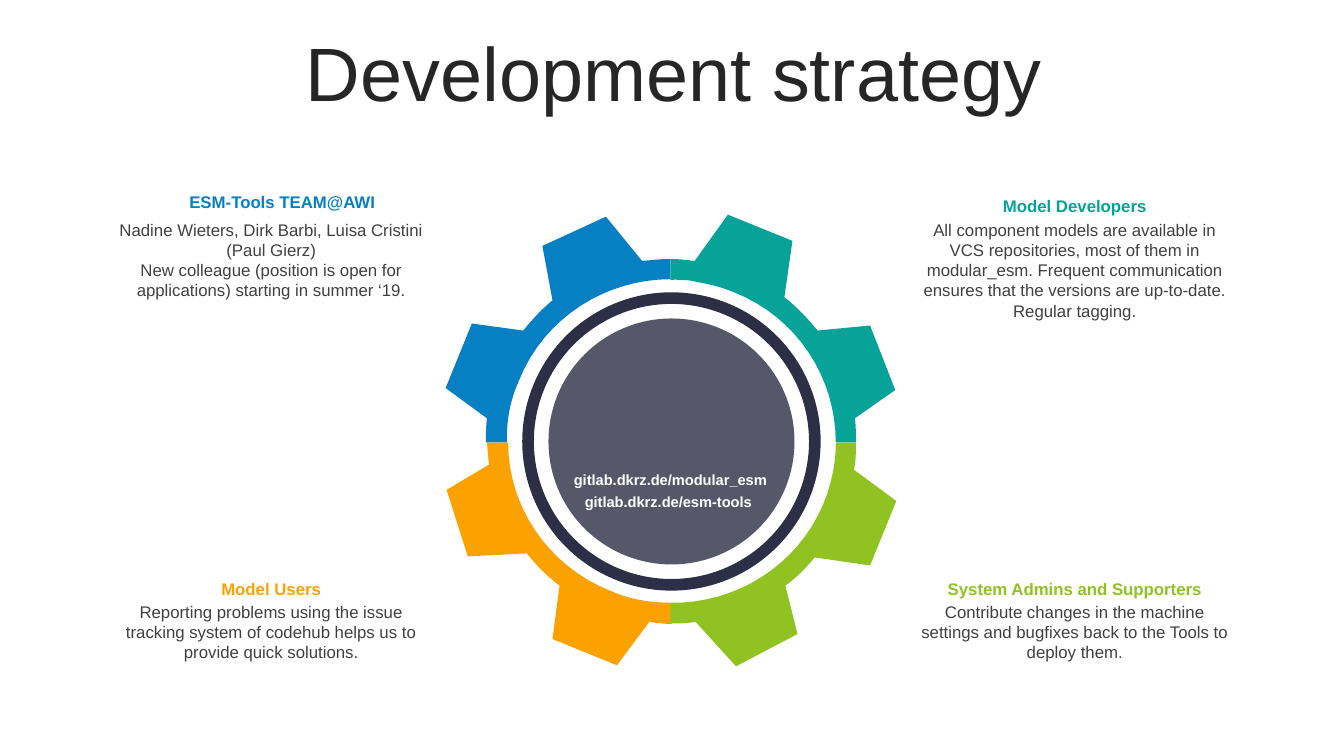
from lxml.etree import SubElement
from pptx import Presentation
from pptx.dml.color import RGBColor
from pptx.enum.shapes import MSO_SHAPE
from pptx.enum.text import MSO_ANCHOR, MSO_AUTO_SIZE, PP_ALIGN
from pptx.oxml.ns import qn
from pptx.util import Inches, Pt

BLUE = RGBColor(0x06, 0x80, 0xC3)
TEAL = RGBColor(0x07, 0xA3, 0x98)
ORANGE = RGBColor(0xFB, 0xA2, 0x00)
GREEN = RGBColor(0x90, 0xC2, 0x21)
NAVY = RGBColor(0x2C, 0x2F, 0x45)
INK = RGBColor(0x26, 0x26, 0x26)
GREY = RGBColor(0x40, 0x40, 0x40)
WHITE = RGBColor(0xFF, 0xFF, 0xFF)

TITLE = "Development strategy"
LEFT_X, RIGHT_X, TEXT_W = 1, 8.97, 3.38
HEADING_H = 0.3

# heading, colour, heading position, body position, body height, body paragraphs
ROLES = [
    ("ESM-Tools TEAM@AWI", BLUE, (1.11, 1.85), (LEFT_X, 2.13), 0.91,
     ["Nadine Wieters, Dirk Barbi, Luisa Cristini", "(Paul Gierz)",
      "New colleague (position is open for applications) starting in summer ‘19."]),
    ("Model Developers", TEAL, (RIGHT_X, 1.89), (RIGHT_X, 2.13), 1.11,
     ["All component models are available in VCS repositories, most of them in "
      "modular_esm. Frequent communication ensures that the versions are "
      "up-to-date. Regular tagging."]),
    ("Model Users", ORANGE, (LEFT_X, 5.69), (LEFT_X, 5.92), 0.71,
     ["Reporting problems using the issue tracking system of codehub helps us to "
      "provide quick solutions."]),
    ("System Admins and Supporters", GREEN, (RIGHT_X, 5.69), (RIGHT_X, 5.92), 0.71,
     ["Contribute changes in the machine settings and bugfixes back to the Tools "
      "to deploy them."]),
]

REPOSITORIES = [
    ("gitlab.dkrz.de/modular_esm", (5.44, 4.62), 2.42),
    ("gitlab.dkrz.de/esm-tools", (5.5, 4.84), 2.26),
]

# Gear quarters: two numbers are a corner, six are a Bézier curve.
GEAR = [
    (ORANGE, [
        (4.83, 4.39), (5.04, 4.39), (5.04, 5.02, 5.43, 5.61, 6.05, 5.86),
        (6.25, 5.95, 6.46, 5.98, 6.67, 5.98), (6.67, 6.19),
        (6.59, 6.19, 6.52, 6.18, 6.44, 6.17), (6.12, 6.6), (5.48, 6.34),
        (5.55, 5.81), (5.42, 5.71, 5.31, 5.6, 5.21, 5.47), (5.22, 5.49),
        (4.64, 5.52), (4.43, 4.86), (4.85, 4.61)]),
    (GREEN, [
        (8.29, 4.39), (8.49, 4.39), (8.49, 4.48, 8.49, 4.57, 8.47, 4.66),
        (8.89, 4.97), (8.63, 5.61), (8.08, 5.53),
        (8, 5.63, 7.9, 5.73, 7.79, 5.81), (7.91, 6.29), (7.3, 6.61), (6.9, 6.17),
        (6.82, 6.18, 6.73, 6.19, 6.65, 6.18), (6.65, 5.98),
        (7.29, 5.99, 7.91, 5.62, 8.17, 4.99),
        (8.25, 4.79, 8.29, 4.59, 8.29, 4.39)]),
    (BLUE, [
        (6.01, 2.15), (6.37, 2.59), (6.46, 2.58, 6.56, 2.57, 6.65, 2.57),
        (6.65, 2.77), (6.01, 2.77, 5.4, 3.15, 5.15, 3.77),
        (5.06, 3.97, 5.02, 4.18, 5.03, 4.39), (4.82, 4.39),
        (4.82, 4.31, 4.82, 4.23, 4.83, 4.15), (4.42, 3.85), (4.68, 3.21),
        (5.19, 3.28), (5.28, 3.17, 5.37, 3.07, 5.48, 2.98), (5.38, 2.44)]),
    (TEAL, [
        (7.22, 2.13), (7.86, 2.39), (7.78, 2.95),
        (7.9, 3.04, 8.01, 3.16, 8.11, 3.28), (8.63, 3.23), (8.88, 3.87),
        (8.48, 4.15), (8.49, 4.23, 8.49, 4.31, 8.49, 4.39), (8.29, 4.39),
        (8.29, 3.75, 7.91, 3.15, 7.28, 2.9), (7.16, 2.85, 7.04, 2.82, 6.92, 2.8),
        (6.88, 2.79, 6.84, 2.78, 6.8, 2.78), (6.75, 2.78, 6.7, 2.77, 6.65, 2.78),
        (6.65, 2.57), (6.73, 2.57, 6.81, 2.58, 6.89, 2.59)]),
]
CURVE_STEPS = 16


def write(tf, paragraphs, size=12, color=GREY, bold=False, spacing=None):
    tf.word_wrap = True
    tf.auto_size = MSO_AUTO_SIZE.NONE
    for i, text in enumerate(paragraphs):
        p = tf.add_paragraph() if i else tf.paragraphs[0]
        p.alignment = PP_ALIGN.CENTER
        p.line_spacing = spacing
        r = p.add_run()
        r.text = text
        r.font.name = "Arial"
        r.font.size = Pt(size)
        r.font.bold = bold
        r.font.color.rgb = color


def add_text(s, paragraphs, pos, width, height, **style):
    box = s.shapes.add_textbox(*map(Inches, (*pos, width, height)))
    write(box.text_frame, paragraphs, **style)


def paint(sp, color):
    sp.shadow.inherit = False
    sp.fill.solid()
    sp.fill.fore_color.rgb = color
    sp.line.fill.background()


def flatten(outline):
    """Turn corners and Bézier curves into a list of points."""
    points = []
    for step in outline:
        if len(step) == 2:
            points.append(step)
            continue
        (x0, y0), (x1, y1, x2, y2, x3, y3) = points[-1], step
        for i in range(1, CURVE_STEPS + 1):
            t = i / CURVE_STEPS
            a, b, c, d = (1 - t) ** 3, 3 * t * (1 - t) ** 2, 3 * t * t * (1 - t), t ** 3
            points.append((a * x0 + b * x1 + c * x2 + d * x3,
                           a * y0 + b * y1 + c * y2 + d * y3))
    return points


def add_gear(s):
    for color, outline in GEAR:
        start, *rest = [(Inches(x), Inches(y)) for x, y in flatten(outline)]
        builder = s.shapes.build_freeform(*start)
        builder.add_line_segments(rest, close=True)
        paint(builder.convert_to_shape(), color)

    hub = s.shapes.add_shape(MSO_SHAPE.OVAL, *map(Inches, (5.44, 3.16, 2.44, 2.44)))
    paint(hub, NAVY)
    rgb = hub.fill._xPr.find(".//" + qn("a:srgbClr"))
    SubElement(rgb, qn("a:alpha"), val="80000")

    ring = s.shapes.add_shape(MSO_SHAPE.DONUT, *map(Inches, (5.18, 2.9, 2.96, 2.96)))
    ring.adjustments[0] = 0.039
    paint(ring, NAVY)


def main():
    prs = Presentation()
    prs.slide_width, prs.slide_height = Inches(13.33), Inches(7.5)
    s = prs.slides.add_slide(prs.slide_layouts[5])

    title = s.shapes.title
    title.left, title.top, title.width, title.height = map(
        Inches, (0.35, 0.37, 12.66, 0.79))
    title.text_frame.vertical_anchor = MSO_ANCHOR.MIDDLE
    write(title.text_frame, [TITLE], size=54, color=INK, spacing=0.9)

    add_gear(s)
    for heading, color, heading_pos, body_pos, body_h, body in ROLES:
        add_text(s, body, body_pos, TEXT_W, body_h)
        add_text(s, [heading], heading_pos, TEXT_W, HEADING_H, color=color, bold=True)
    for address, pos, width in REPOSITORIES:
        add_text(s, [address], pos, width, 0.28, size=10.5, color=WHITE, bold=True)

    prs.save("out.pptx")


if __name__ == "__main__":
    main()
